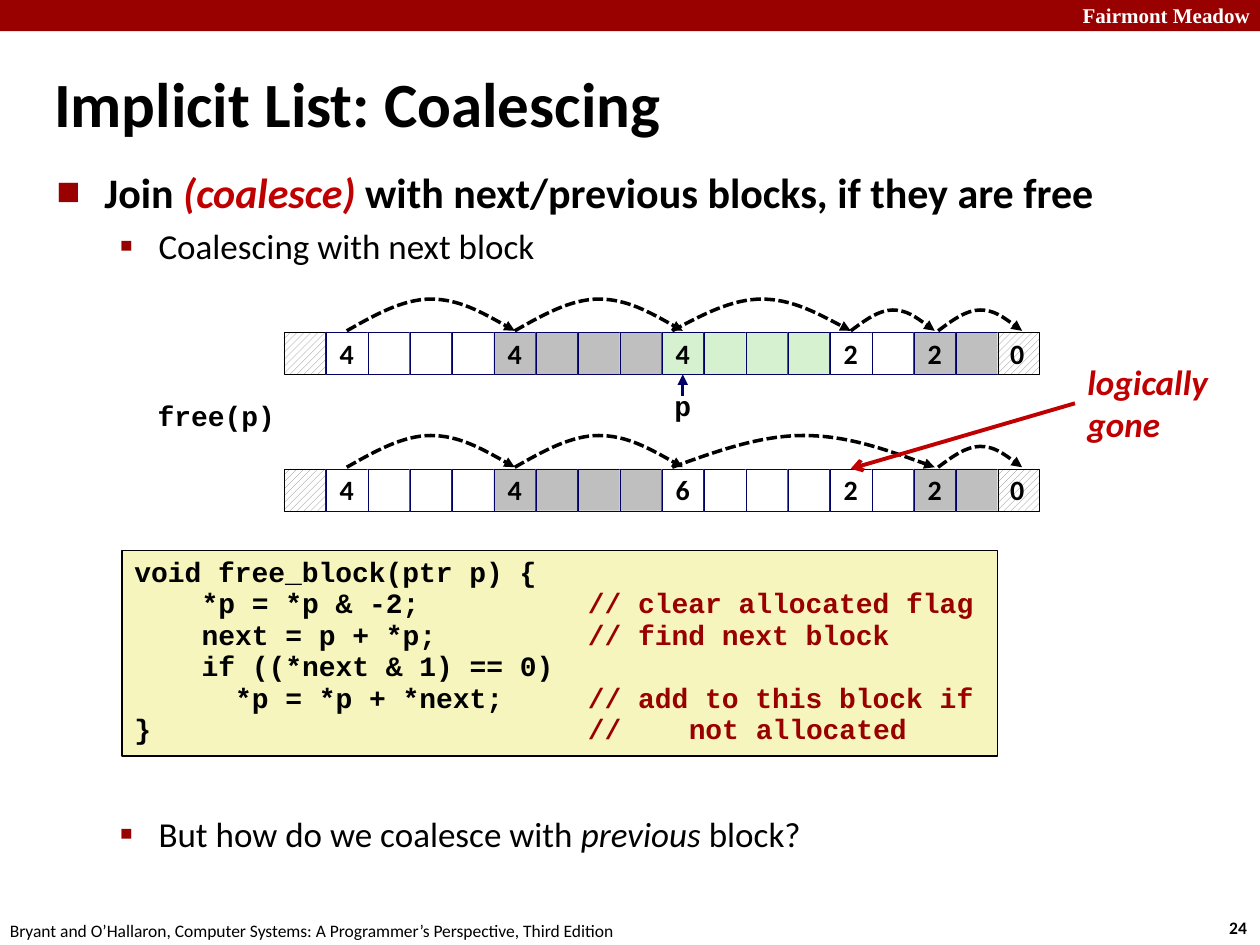
from lxml import etree
from pptx import Presentation
from pptx import util as u
from pptx.dml.color import RGBColor
from pptx.enum import dml, shapes, text
from pptx.oxml import ns

BLACK = RGBColor(0, 0, 0)
WHITE = RGBColor(255, 255, 255)
CRIMSON = RGBColor(0x99, 0, 0)
RED = RGBColor(0xC0, 0, 0)
NAVY = RGBColor(0, 0, 0x66)
GRAY = RGBColor(0xBF, 0xBF, 0xBF)
HATCH = RGBColor(0x80, 0x80, 0x80)
GREEN = RGBColor(0xD5, 0xF1, 0xCF)
CREAM = RGBColor(0xF6, 0xF5, 0xBD)
CELL = 2.54 / 3
CHAR = 0.6 * 16 * 2.54 / 72
COMMENT = 27


def child(parent, tag, **attributes):
    """Append a DrawingML element."""
    return etree.SubElement(parent, ns.qn(tag), {k: str(v) for k, v in attributes.items()})


def add_run(paragraph, words, size, color=BLACK, font="Calibri", bold=False, italic=False):
    """Append one formatted run."""
    run = paragraph.add_run()
    run.text = words
    run.font.size, run.font.name = u.Pt(size), font
    run.font.bold, run.font.italic = bold, italic
    run.font.color.rgb = color


def clear_frame(shape, anchor=text.MSO_ANCHOR.TOP, wrap=True, inset=0):
    """Set up the text frame of a shape and return it."""
    frame = shape.text_frame
    frame.word_wrap, frame.vertical_anchor = wrap, anchor
    frame.margin_left = frame.margin_right = u.Cm(inset)
    frame.margin_top = frame.margin_bottom = u.Cm(inset / 2)
    return frame


def add_label(slide, box, lines, size, align=text.PP_ALIGN.LEFT,
              anchor=text.MSO_ANCHOR.TOP, **style):
    """Place a text box with one run to the line."""
    frame = clear_frame(slide.shapes.add_textbox(*map(u.Cm, box)), anchor)
    for i, words in enumerate(lines):
        paragraph = frame.add_paragraph() if i else frame.paragraphs[0]
        paragraph.alignment = align
        add_run(paragraph, words, size, **style)


def add_box(slide, box, fill, line=None, width=0.26):
    """Place a plain rectangle, hatched when no fill is given."""
    shape = slide.shapes.add_shape(shapes.MSO_SHAPE.RECTANGLE, *map(u.Cm, box))
    shape.shadow.inherit = False
    if fill is None:
        shape.fill.patterned()
        shape.fill.pattern = dml.MSO_PATTERN.WIDE_UPWARD_DIAGONAL
        shape.fill.fore_color.rgb, shape.fill.back_color.rgb = HATCH, WHITE
    else:
        shape.fill.solid()
        shape.fill.fore_color.rgb = fill
    if line is None:
        shape.line.fill.background()
    else:
        shape.line.color.rgb, shape.line.width = line, u.Pt(width)
    return shape


def style_line(shape, color, width, tail):
    """Colour a line and give its end an arrowhead."""
    shape.line.color.rgb, shape.line.width = color, u.Pt(width)
    child(shape.line._get_or_add_ln(), "a:tailEnd", type=tail)


def add_arrow(slide, start, end, color, width, tail):
    """Place a straight arrow."""
    arrow = slide.shapes.add_connector(shapes.MSO_CONNECTOR.STRAIGHT, *map(u.Cm, start + end))
    style_line(arrow, color, width, tail)
    child(arrow._element.spPr, "a:effectLst")


def add_arc(slide, left, bottom, span, rise):
    """Place a dashed curved arrow over a block."""
    steps = [(1 / 6, 0.5), (1 / 3, 1), (1 / 2, 1), (2 / 3, 1), (5 / 6, 0.5), (1, 0)]
    builder = slide.shapes.build_freeform(u.Cm(left), u.Cm(bottom))
    builder.add_line_segments([(u.Cm(left + x * span), u.Cm(bottom - y * rise))
                               for x, y in steps], close=False)
    arc = builder.convert_to_shape()
    arc.shadow.inherit = False
    arc.fill.background()
    arc.line.dash_style = dml.MSO_LINE.SQUARE_DOT
    style_line(arc, BLACK, 2, "triangle")
    outline = next(arc._element.iter(ns.qn("a:path")))
    segments = outline.findall(ns.qn("a:lnTo"))
    for i in (0, 3):
        curve = child(outline, "a:cubicBezTo")
        for segment in segments[i:i + 3]:
            curve.append(segment[0])
            outline.remove(segment)


def add_heap(slide, left, top, blocks, arcs):
    """Draw a row of heap words and the arcs between block starts."""
    cells = [(None, "")]
    for size, fill, labels in blocks:
        cells += [(fill, labels.get(i, "")) for i in range(size)]
    cells.append((None, "0"))
    for i, (fill, value) in enumerate(cells):
        word = add_box(slide, (left + i * CELL, top, CELL, CELL), fill,
                       BLACK if fill is None else NAVY)
        if value:
            frame = clear_frame(word, text.MSO_ANCHOR.MIDDLE, False, 0.25)
            number = frame.paragraphs[0]
            number.alignment = text.PP_ALIGN.LEFT if fill is None else text.PP_ALIGN.CENTER
            add_run(number, value, 16, bold=True)
    for start, end in arcs:
        span = (end - start) * CELL
        add_arc(slide, left + start * CELL, top - 0.03, span, 0.64 if span > 2 else 0.42)


def add_bullets(slide, box, items):
    """Place a bulleted list of (level, runs) items."""
    levels = [("■", 60, 0.38, 0.38, 0.83, 17.5), ("▪", 110, 0.81, 0.31, 0.88, 7.5)]
    frame = clear_frame(slide.shapes.add_textbox(*map(u.Cm, box)))
    for i, (level, runs) in enumerate(items):
        mark, percent, margin, hang, spacing, before = levels[level]
        item = frame.add_paragraph() if i else frame.paragraphs[0]
        item.line_spacing, item.space_before = spacing, u.Pt(before)
        props = item._p.get_or_add_pPr()
        props.set("marL", str(u.Cm(margin * 2.54)))
        props.set("indent", str(-u.Cm(hang * 2.54)))
        child(child(props, "a:buClr"), "a:srgbClr", val=CRIMSON)
        child(props, "a:buSzPct", val=percent * 1000)
        child(props, "a:buFont", typeface="Calibri")
        child(props, "a:buChar", char=mark)
        for words, style in runs:
            add_run(item, words, 20 if level else 24, bold=not level, **style)


def add_code(slide, box, lines):
    """Place the listing of (indent, code, comment, inner stop) lines."""
    frame = clear_frame(add_box(slide, box, CREAM, BLACK, 1), inset=0.25)
    for i, (indent, code, comment, inner) in enumerate(lines):
        line = frame.add_paragraph() if i else frame.paragraphs[0]
        line.alignment, line.line_spacing = text.PP_ALIGN.LEFT, 0.94
        stops = child(line._p.get_or_add_pPr(), "a:tabLst")
        for stop in filter(None, (indent, COMMENT, inner)):
            child(stops, "a:tab", pos=u.Cm(stop * CHAR), algn="l")
        style = dict(size=16, font="Courier New", bold=True)
        add_run(line, ("\t" if indent else "") + code, **style)
        if comment:
            add_run(line, "\t" + comment, color=CRIMSON, **style)


def add_frame(slide, width, height):
    """Place the banner, the footer and the page number."""
    add_box(slide, (0, 0, width, 0.63), CRIMSON)
    add_label(slide, (width - 5.2, 0.05, 5, 0.55), ["Fairmont Meadow"], 12,
              text.PP_ALIGN.RIGHT, color=WHITE, font="Times New Roman", bold=True)
    add_label(slide, (0.2, height - 0.51, 14, 0.45),
              ["Bryant and O’Hallaron, Computer Systems: A Programmer’s Perspective, Third Edition"], 10)
    add_label(slide, (width - 0.62, height - 0.57, 0.6, 0.45), ["24"], 10, bold=True)


def build_slide(slide, width, height):
    """Place all regions of the coalescing slide."""
    add_frame(slide, width, height)
    add_label(slide, (1.09, 1.27, 18.5, 1.6), ["Implicit List: Coalescing"], 36,
              anchor=text.MSO_ANCHOR.MIDDLE, bold=True)
    add_bullets(slide, (1.14, 3.52, 23, 2), [
        (0, [("Join ", {}), ("(coalesce) ", dict(color=RED, italic=True)),
             ("with next/previous blocks, if they are free", {})]),
        (1, [("Coalescing with next block", {})])])
    add_bullets(slide, (1.14, 16.48, 23, 1), [
        (1, [("But how do we coalesce with ", {}), ("previous", dict(italic=True)),
             (" block?", {})])])
    add_code(slide, (2.46, 11.1, 17.65, 4.14), [
        (0, "void free_block(ptr p) {", "", 0),
        (4, "*p = *p & -2;", "// clear allocated flag", 0),
        (4, "next = p + *p;", "// find next block", 0),
        (4, "if ((*next & 1) == 0)", "", 0),
        (6, "*p = *p + *next;", "// add to this block if", 0),
        (0, "}", "//\tnot allocated", COMMENT + 6)])
    left, before, after = 5.72, 6.7, 9.45
    first = [(4, WHITE, {0: "4"}), (4, GRAY, {0: "4"})]
    last = (2, GRAY, {0: "2"})
    first_arcs, last_arc = [(1.5, 5.5), (5.5, 9.5)], (15.58, 17.58)
    add_heap(slide, left, before, first + [(4, GREEN, {0: "4"}), (2, WHITE, {0: "2"}), last],
             first_arcs + [(9.25, 13.5), (13.5, 15.5), last_arc])
    add_heap(slide, left, after, first + [(6, WHITE, {0: "6", 4: "2"}), last],
             first_arcs + [(9.25, 15.5), last_arc])
    pointer = left + 9.5 * CELL
    add_arrow(slide, (pointer, 7.98), (pointer, before + CELL), NAVY, 2, "triangle")
    code = dict(font="Courier New", bold=True)
    add_label(slide, (pointer - 0.4, 7.84, 0.8, 0.7), ["p"], 16, text.PP_ALIGN.CENTER, **code)
    add_label(slide, (3.18, 8.04, 2.6, 0.7), ["free(p)"], 16, **code)
    add_label(slide, (21.92, 7.26, 3, 1.75), ["logically", "gone"], 20,
              color=RED, bold=True, italic=True)
    add_arrow(slide, (21.67, 8.13), (17.15, after), RED, 2.25, "arrow")


def main():
    """Build and save the presentation."""
    deck = Presentation()
    width, height = 25.4, 19.05
    deck.slide_width, deck.slide_height = u.Cm(width), u.Cm(height)
    build_slide(deck.slides.add_slide(deck.slide_layouts[6]), width, height)
    deck.save("out.pptx")


main()
